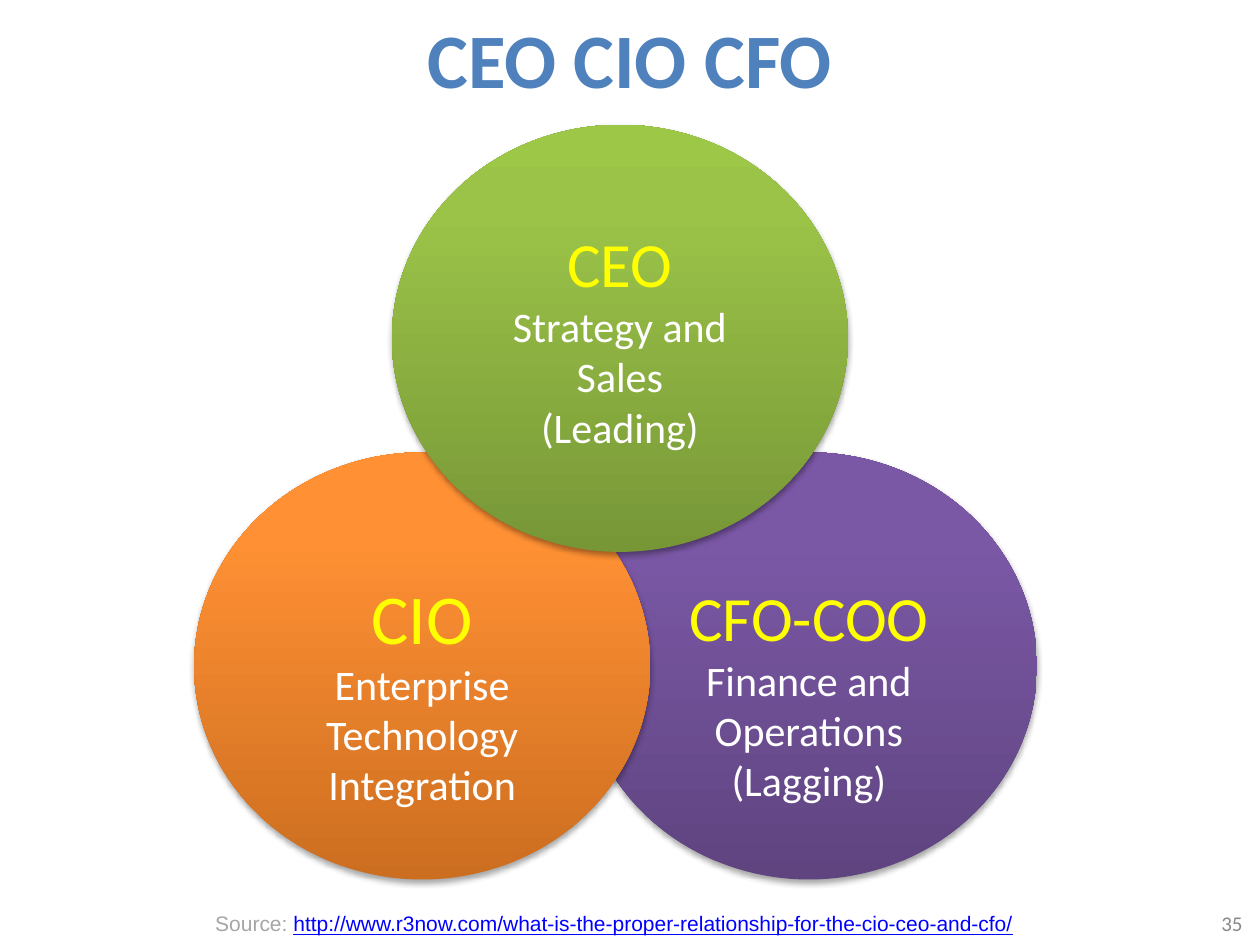
from copy import deepcopy
from dataclasses import dataclass

from lxml.etree import SubElement
from pptx import Presentation
from pptx.dml.color import RGBColor
from pptx.enum.shapes import MSO_SHAPE
from pptx.enum.text import MSO_ANCHOR, PP_ALIGN
from pptx.oxml.ns import qn
from pptx.util import Inches, Pt

COLORS = {
    "title": "4F81BD",
    "role": "FFFF00",
    "detail": "FFFFFF",
    "source": "A6A6A6",
    "link": "0000FF",
    "number": "898989",
    "shadow": "000000",
}
CIRCLE_WIDTH, CIRCLE_HEIGHT = 3.62, 3.39
GRADIENT_POSITIONS = (0, 0.8, 1)
LOWERED_TEXT_INSET = 0.46
SOURCE_URL = "http://www.r3now.com/what-is-the-proper-relationship-for-the-cio-ceo-and-cfo/"


@dataclass
class RoleCircle:
    left: float
    top: float
    role: str
    role_size: int
    details: tuple[str, ...]
    gradient: tuple[str, str, str]
    top_inset: float = 0.05


CIRCLES = (
    RoleCircle(4.61, 3.59, "CFO-COO", 36, ("Finance and Operations", "(Lagging)"),
               ("5F4480", "7B58A6", "7C57A8"), LOWERED_TEXT_INSET),
    RoleCircle(1.54, 3.59, "CIO", 40, ("Enterprise Technology Integration",),
               ("CC6E20", "FF9034", "FF9136"), LOWERED_TEXT_INSET),
    RoleCircle(3.11, 0.99, "CEO", 36, ("Strategy and Sales", "(Leading)"),
               ("779737", "9BC348", "9DC746")),
)


def format_font(font, size: int, color: str, name: str = "Calibri") -> None:
    font.name = name
    font.size = Pt(size)
    font.color.rgb = RGBColor.from_string(COLORS[color])


def fill_gradient(shape, colors: tuple[str, str, str]) -> None:
    shape.fill.gradient()
    shape.fill.gradient_angle = 90
    stop_list = shape._element.spPr.find(f".//{qn('a:gsLst')}")
    stop_list.append(deepcopy(stop_list[-1]))
    for stop, position, color in zip(shape.fill.gradient_stops, GRADIENT_POSITIONS, colors):
        stop.position = position
        stop.color.rgb = RGBColor.from_string(color)


def add_soft_shadow(shape) -> None:
    shape.shadow.inherit = False
    effects = shape._element.spPr.find(qn("a:effectLst"))
    shadow = SubElement(effects, qn("a:outerShdw"), blurRad="40000", dist="23000",
                        dir="5400000", rotWithShape="0")
    color = SubElement(shadow, qn("a:srgbClr"), val=COLORS["shadow"])
    SubElement(color, qn("a:alpha"), val="35000")


def draw_circle(slide, circle: RoleCircle) -> None:
    shape = slide.shapes.add_shape(
        MSO_SHAPE.OVAL, Inches(circle.left), Inches(circle.top),
        Inches(CIRCLE_WIDTH), Inches(CIRCLE_HEIGHT))
    fill_gradient(shape, circle.gradient)
    shape.line.fill.background()
    add_soft_shadow(shape)

    text_frame = shape.text_frame
    text_frame.word_wrap = True
    text_frame.vertical_anchor = MSO_ANCHOR.MIDDLE
    text_frame.margin_top = Inches(circle.top_inset)
    text_frame.text = "\n".join((circle.role, *circle.details))
    for index, paragraph in enumerate(text_frame.paragraphs):
        paragraph.alignment = PP_ALIGN.CENTER
        size, color = (24, "detail") if index else (circle.role_size, "role")
        format_font(paragraph.runs[0].font, size, color)


def add_title(slide, text: str) -> None:
    title = slide.shapes.title
    title.left, title.top = Inches(0.5), Inches(0)
    title.width, title.height = Inches(9), Inches(0.91)
    title.text_frame.text = text
    title.text_frame.vertical_anchor = MSO_ANCHOR.MIDDLE
    paragraph = title.text_frame.paragraphs[0]
    paragraph.alignment = PP_ALIGN.CENTER
    font = paragraph.runs[0].font
    format_font(font, 44, "title")
    font.bold = True


def add_slide_number(slide, number: str) -> None:
    box = slide.shapes.add_textbox(Inches(7.63), Inches(7.13), Inches(2.33), Inches(0.4))
    box.text_frame.word_wrap = True
    box.text_frame.vertical_anchor = MSO_ANCHOR.MIDDLE
    box.text_frame.text = number
    paragraph = box.text_frame.paragraphs[0]
    paragraph.alignment = PP_ALIGN.RIGHT
    format_font(paragraph.runs[0].font, 12, "number")


def add_source(slide) -> None:
    box = slide.shapes.add_textbox(Inches(1.61), Inches(7.18), Inches(7.15), Inches(0.3))
    box.text_frame.word_wrap = True
    paragraph = box.text_frame.paragraphs[0]
    for text, color in (("Source: ", "source"), (SOURCE_URL, "link")):
        run = paragraph.add_run()
        run.text = text
        format_font(run.font, 12, color, "Arial")
    paragraph.runs[-1].font.underline = True


def main() -> None:
    presentation = Presentation()
    presentation.slide_width, presentation.slide_height = Inches(10), Inches(7.5)
    slide = presentation.slides.add_slide(presentation.slide_layouts[5])
    add_title(slide, "CEO CIO CFO")
    for circle in CIRCLES:
        draw_circle(slide, circle)
    add_slide_number(slide, "35")
    add_source(slide)
    presentation.save("out.pptx")


if __name__ == "__main__":
    main()
